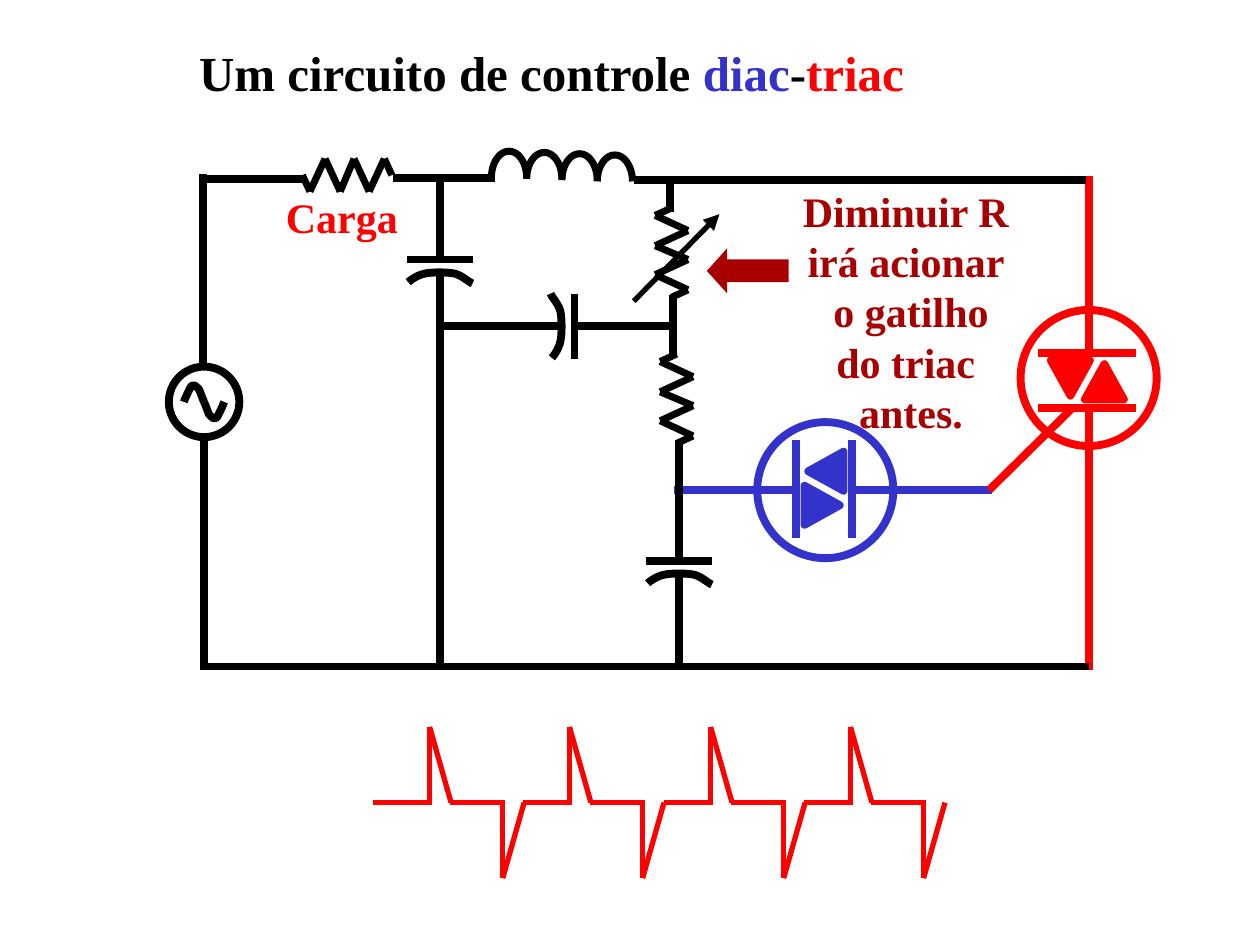
from dataclasses import dataclass
from itertools import pairwise
from math import cos, pi, sin

from pptx import Presentation
from pptx.dml.color import RGBColor
from pptx.enum.shapes import MSO_CONNECTOR as Connector, MSO_SHAPE as Shape
from pptx.enum.text import MSO_ANCHOR as Anchor, MSO_AUTO_SIZE as AutoSize, PP_ALIGN as Align
from pptx.oxml import parse_xml
from pptx.oxml.ns import nsdecls, qn
from pptx.util import Cm, Pt


@dataclass(frozen=True)
class Theme:
    font: str = "Times New Roman"
    black: str = "000000"
    blue: str = "3333CC"
    red: str = "FF0000"
    dark_red: str = "A80000"
    title_size: float = 28
    label_size: float = 24
    leading: float = 1.2
    wire: float = 4.5
    coil: float = 4
    thin: float = 3


def grid(value):
    """Turn a position on the one-inch drawing grid into a length."""
    return Cm(value * 2.54)


def bezier(start, *segments, steps=10):
    """Sample a chain of cubic curves as points."""
    points = [start]
    for first, second, end in segments:
        origin = points[-1]
        for step in range(1, steps + 1):
            t = step / steps
            weights = ((1 - t) ** 3, 3 * t * (1 - t) ** 2, 3 * t * t * (1 - t), t ** 3)
            corners = (origin, first, second, end)
            points.append(tuple(sum(w * corner[axis] for w, corner in zip(weights, corners))
                                for axis in (0, 1)))
    return points


class CircuitSlide:
    def __init__(self, presentation, theme):
        self.theme = theme
        self.slide = presentation.slides.add_slide(presentation.slide_layouts[5])
        self.shapes = self.slide.shapes

    # Text
    def fill_text(self, shape, box, lines, size, align=Align.LEFT):
        """Place a text shape; each line is a list of (text, colour) runs."""
        shape.left, shape.top, shape.width, shape.height = map(grid, box)
        frame = shape.text_frame
        frame.word_wrap = False
        frame.auto_size = AutoSize.SHAPE_TO_FIT_TEXT
        frame.vertical_anchor = Anchor.TOP
        frame.text = "\n".join("" for _ in lines)
        for paragraph, runs in zip(frame.paragraphs, lines):
            paragraph.alignment = align
            paragraph.line_spacing = Pt(size * self.theme.leading)
            for text, colour in runs:
                run = paragraph.add_run()
                run.text = text
                run.font.name = self.theme.font
                run.font.size = Pt(size)
                run.font.bold = True
                run.font.color.rgb = RGBColor.from_string(colour)

    def title(self, box, runs):
        self.fill_text(self.shapes.title, box, [runs], self.theme.title_size)

    def label(self, box, lines, colour, align=Align.LEFT):
        self.fill_text(self.shapes.add_textbox(0, 0, 0, 0), box,
                       [[(line, colour)] for line in lines], self.theme.label_size, align)

    # Lines and outlines
    def stroke(self, item, colour, width):
        item.line.color.rgb = RGBColor.from_string(colour)
        item.line.width = Pt(width)

    def line(self, start, end, colour=None, width=None, arrow=False):
        connector = self.shapes.add_connector(Connector.STRAIGHT, *map(grid, (*start, *end)))
        self.stroke(connector, colour or self.theme.black, width or self.theme.wire)
        properties = connector._element.find(qn("p:spPr"))
        if arrow:
            properties.find(qn("a:ln")).append(
                parse_xml(f'<a:tailEnd {nsdecls("a")} type="triangle"/>'))
        properties.append(parse_xml(f'<a:effectLst {nsdecls("a")}/>'))

    def chain(self, points, colour, width):
        for start, end in pairwise(points):
            self.line(start, end, colour, width)

    def curve(self, points, width):
        scaled = [(grid(x), grid(y)) for x, y in points]
        builder = self.shapes.build_freeform(*scaled[0], scale=1.0)
        builder.add_line_segments(scaled[1:], close=False)
        outline = builder.convert_to_shape()
        outline.fill.background()
        outline.shadow.inherit = False
        self.stroke(outline, self.theme.black, width)

    def preset(self, kind, box, fill=None, line=None, rotation=0):
        shape = self.shapes.add_shape(kind, *map(grid, box))
        shape.shadow.inherit = False
        shape.rotation = rotation
        if fill:
            shape.fill.solid()
            shape.fill.fore_color.rgb = RGBColor.from_string(fill)
        else:
            shape.fill.background()
        if line:
            self.stroke(shape, line, self.theme.wire)
        else:
            shape.line.fill.background()
        return shape

    # Circuit symbols
    def resistor(self, x, y, vertical=True):
        along = (0, 0.06, 0.18, 0.3, 0.41, 0.53, 0.65, 0.71)
        across = (0, *(0.13, -0.13) * 3, 0)
        points = [(x - v, y + u) if vertical else (x + u, y + v)
                  for u, v in zip(along, across)]
        self.chain(points, self.theme.black, self.theme.coil)

    def capacitor(self, x, y, upright=True):
        def place(u, v):
            return (x + u, y + v) if upright else (x - v, y - u)

        arc = bezier((0.26, 0.19), ((0.23, 0.18), (0.17, 0.12), (0.11, 0.11)),
                     ((0.05, 0.1), (-0.06, 0.1), (-0.11, 0.11)),
                     ((-0.17, 0.12), (-0.23, 0.16), (-0.25, 0.18)))
        self.line(place(0.26, 0), place(-0.26, 0))
        self.curve([place(u, v) for u, v in arc], self.theme.wire)

    def inductor(self, x, y, turns=4, pitch=0.28, radius=0.14, height=0.21, steps=24):
        for turn in range(turns):
            centre, base = x + radius + turn * pitch, y + turn * 0.01
            self.curve([(centre - radius * cos(pi * step / steps),
                         base - height * sin(pi * step / steps))
                        for step in range(steps + 1)], self.theme.coil)

    def source(self, x, y):
        self.preset(Shape.OVAL, (x - 0.28, y - 0.28, 0.56, 0.56), line=self.theme.black)
        half = bezier((0, 0), ((-0.01, -0.02), (-0.03, -0.08), (-0.04, -0.1)),
                      ((-0.06, -0.12), (-0.07, -0.13), (-0.08, -0.13)),
                      ((-0.09, -0.13), (-0.1, -0.13), (-0.11, -0.11)),
                      ((-0.12, -0.09), (-0.15, -0.03), (-0.16, 0)))
        for sign in (1, -1):
            self.curve([(x + sign * u, y + sign * v) for u, v in half], self.theme.wire)

    def bidirectional_switch(self, circle, bars, triangles, leads, colour):
        """Draw a diac or triac: circle, two bars, two triangles and its leads."""
        self.preset(Shape.OVAL, (*circle, 1.08, 1.08), line=colour)
        for start, end in leads + bars:
            self.line(start, end, colour)
        for x, y, rotation in triangles:
            self.preset(Shape.ISOSCELES_TRIANGLE, (x, y, 0.31, 0.28), colour, colour, rotation)


def main():
    theme = Theme()
    presentation = Presentation()
    presentation.slide_width, presentation.slide_height = grid(10), grid(7.5)
    circuit = CircuitSlide(presentation, theme)

    circuit.title((1.48, 0.29, 5.9, 0.57), [
        ("Um circuito de controle ", theme.black), ("diac", theme.blue),
        ("-", theme.black), ("triac", theme.red)])

    # Diac and triac
    circuit.bidirectional_switch(
        (6.01, 3.35), [((x, 3.49), (x, 4.27)) for x in (6.32, 6.76)],
        [(6.37, 3.87, 90), (6.4, 3.6, 270)],
        [((6.33, 3.89), (5.35, 3.89)), ((7.87, 3.89), (6.77, 3.89))], theme.blue)
    circuit.bidirectional_switch(
        (8.1, 2.46), [((8.24, y), (9.02, y)) for y in (2.8, 3.24)],
        [(8.61, 2.89, 0), (8.34, 2.86, 180)],
        [((8.64, 3.22), (8.64, 5.32)), ((8.64, 1.4), (8.64, 2.8)),
         ((8.52, 3.23), (7.85, 3.89))], theme.red)

    # Load, supply and passive parts
    circuit.resistor(2.4, 1.39, vertical=False)
    circuit.label((2.17, 1.47, 1.09, 0.5), ["Carga"], theme.red)
    circuit.source(1.62, 3.19)
    circuit.resistor(5.33, 1.65)
    circuit.resistor(5.37, 2.81)
    circuit.capacitor(4.56, 2.59, upright=False)
    circuit.capacitor(5.39, 4.45)
    circuit.capacitor(3.49, 2.06)
    circuit.inductor(3.9, 1.41)

    # Wires: (x, top, bottom), then (y, left, right)
    for x, top, bottom in ((5.34, 2.34, 2.83), (5.39, 3.5, 4.45), (5.39, 4.58, 5.28),
                           (3.49, 2.17, 5.28), (3.49, 1.4, 2.06), (5.32, 1.44, 1.68),
                           (1.61, 1.38, 2.91), (1.62, 3.5, 5.32)):
        circuit.line((x, top), (x, bottom))
    for y, left, right in ((1.41, 3.12, 3.93), (1.43, 5.03, 8.62), (5.29, 1.63, 8.64),
                           (2.59, 4.54, 5.33), (2.59, 3.47, 4.44), (1.42, 1.64, 2.41)):
        circuit.line((left, y), (right, y))
    circuit.line((5.03, 2.39), (5.71, 1.7), width=theme.thin, arrow=True)

    # Load waveform: flat, positive spike, flat, negative spike
    zero, peak, trough = 6.37, 5.77, 6.97
    for x, lead in ((3.41, 0.45), (4.52, 0.37), (5.64, 0.37), (6.75, 0.37)):
        for left, right in ((x - lead, x + 0.02), (x + 0.16, x + 0.6)):
            circuit.line((left, zero), (right, zero), theme.red, theme.thin)
        for spike, tip in ((x, peak), (x + 0.58, trough)):
            circuit.chain([(spike, zero), (spike, tip), (spike + 0.17, zero)],
                          theme.red, theme.thin)

    # Remark on the variable resistor
    arrow = circuit.preset(Shape.LEFT_ARROW, (5.61, 1.97, 0.65, 0.36), theme.dark_red)
    arrow.adjustments[0], arrow.adjustments[1] = 0.5, 0.45
    circuit.label((6.27, 1.42, 1.92, 2.1),
                  ["Diminuir R ", "irá acionar ", "o gatilho", "do triac ", "antes."],
                  theme.dark_red, Align.CENTER)

    presentation.save("out.pptx")


if __name__ == "__main__":
    main()
